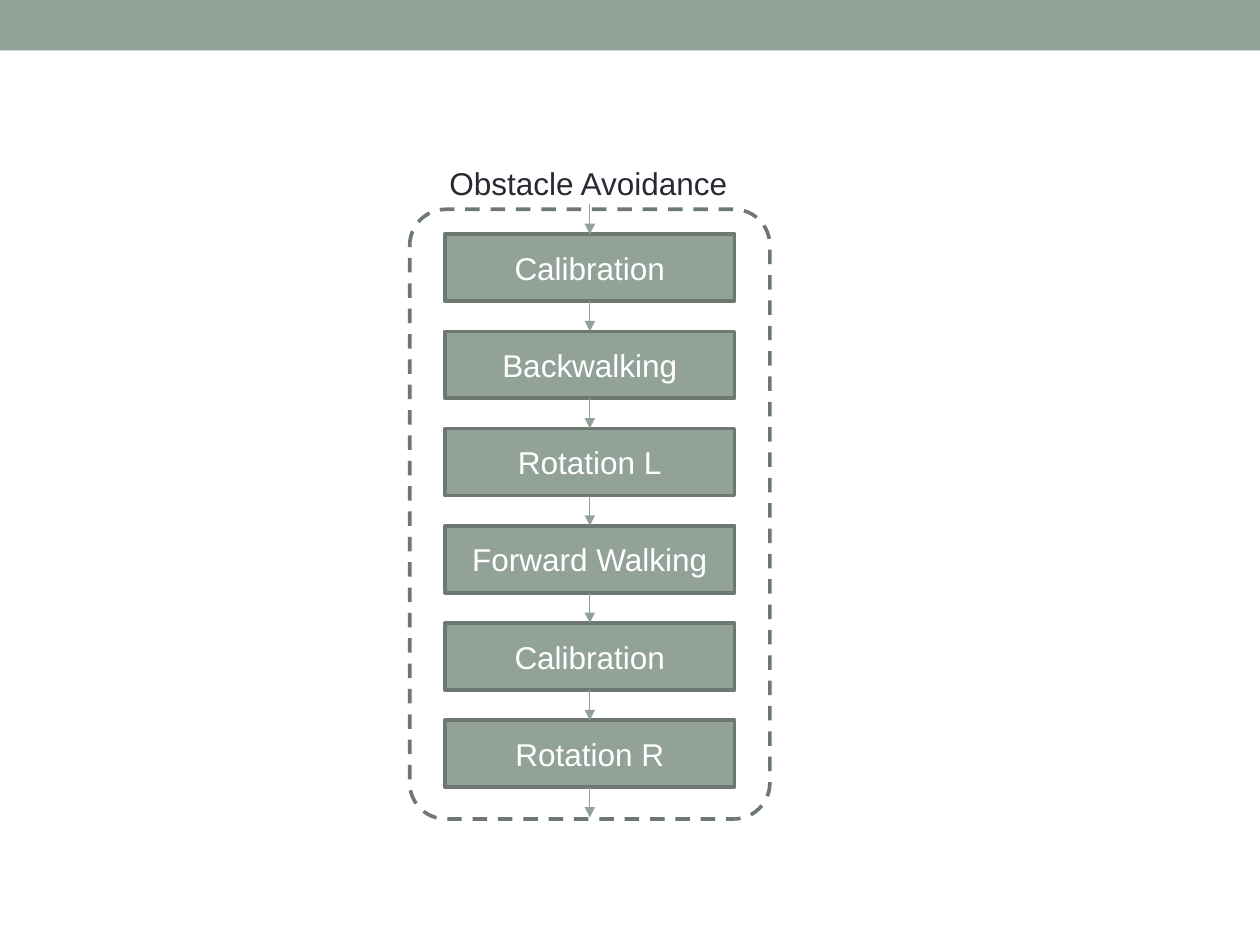
from lxml import etree
from pptx import Presentation
from pptx.dml.color import RGBColor
from pptx.enum.dml import MSO_LINE
from pptx.enum.shapes import MSO_CONNECTOR, MSO_SHAPE
from pptx.enum.text import MSO_ANCHOR, MSO_AUTO_SIZE, PP_ALIGN
from pptx.oxml.ns import qn
from pptx.util import Cm, Pt

SAGE, EDGE, INK, WHITE = "93A299", "6D7871", "292934", "FFFFFF"
STEPS = ["Calibration", "Backwalking", "Rotation L",
         "Forward Walking", "Calibration", "Rotation R"]
STEP_W, STEP_H, GAP = 5.84, 1.35, 0.61


def rgb(value):
    return RGBColor.from_string(value)


def set_text(s, text, color, align, **frame_format):
    tf = s.text_frame
    for name, value in frame_format.items():
        setattr(tf, name, value)
    p = tf.paragraphs[0]
    p.alignment = align
    r = p.add_run()
    r.text = text
    for name, value in {"name": "Arial", "size": Pt(18)}.items():
        setattr(r.font, name, value)
    r.font.color.rgb = rgb(color)


def add_box(slide, kind, x, y, w, h, fill, line=None):
    s = slide.shapes.add_shape(kind, Cm(x), Cm(y), Cm(w), Cm(h))
    s.shadow.inherit = False
    s.fill.solid()
    s.fill.fore_color.rgb = rgb(fill)
    if line:
        s.line.color.rgb = rgb(line)
        s.line.width = Pt(2.08)
    else:
        s.line.fill.background()
    return s


def add_arrow(slide, x, y, length, source=None, target=None):
    c = slide.shapes.add_connector(MSO_CONNECTOR.STRAIGHT,
                                   Cm(x), Cm(y), Cm(x), Cm(y + length))
    if source is not None:
        c.begin_connect(source, 2)
    if target is not None:
        c.end_connect(target, 0)
    c.line.color.rgb = rgb(SAGE)
    c.line.width = Pt(0.75)
    etree.SubElement(c.line._get_or_add_ln(), qn("a:tailEnd"), type="triangle")
    etree.SubElement(c._element.spPr, qn("a:effectLst"))


def add_band(slide, x, y, w, h):
    add_box(slide, MSO_SHAPE.RECTANGLE, x, y, w, h, SAGE)


def add_flow(slide, x, y, w, h):
    # Dashed frame
    frame = add_box(slide, MSO_SHAPE.ROUNDED_RECTANGLE, x, y, w, h, WHITE, EDGE)
    frame.adjustments[0] = 0.1
    frame.line.dash_style = MSO_LINE.DASH

    # Heading above the frame
    heading = slide.shapes.add_textbox(Cm(x + 0.55), Cm(y - 1.04), Cm(6.17), Cm(1.02))
    set_text(heading, "Obstacle Avoidance", INK, PP_ALIGN.LEFT,
             word_wrap=False, auto_size=MSO_AUTO_SIZE.SHAPE_TO_FIT_TEXT)

    # Steps, each with the arrow that leads into it
    middle, previous = x + w / 2, None
    top = y + 0.5
    for name in STEPS:
        step = add_box(slide, MSO_SHAPE.RECTANGLE, middle - STEP_W / 2, top,
                       STEP_W, STEP_H, SAGE, EDGE)
        set_text(step, name, WHITE, PP_ALIGN.CENTER,
                 word_wrap=True, vertical_anchor=MSO_ANCHOR.MIDDLE)
        add_arrow(slide, middle, top - GAP, GAP, previous, step)
        previous = step
        top += STEP_H + GAP

    # Way out
    add_arrow(slide, middle, top - GAP, GAP, previous)


def main():
    prs = Presentation()
    prs.slide_width, prs.slide_height = Cm(25.4), Cm(19.05)
    slide = prs.slides.add_slide(prs.slide_layouts[6])
    add_band(slide, 0, 0, 25.4, 1.02)
    add_flow(slide, 8.26, 4.22, 7.26, 12.29)
    prs.save("out.pptx")


if __name__ == "__main__":
    main()
